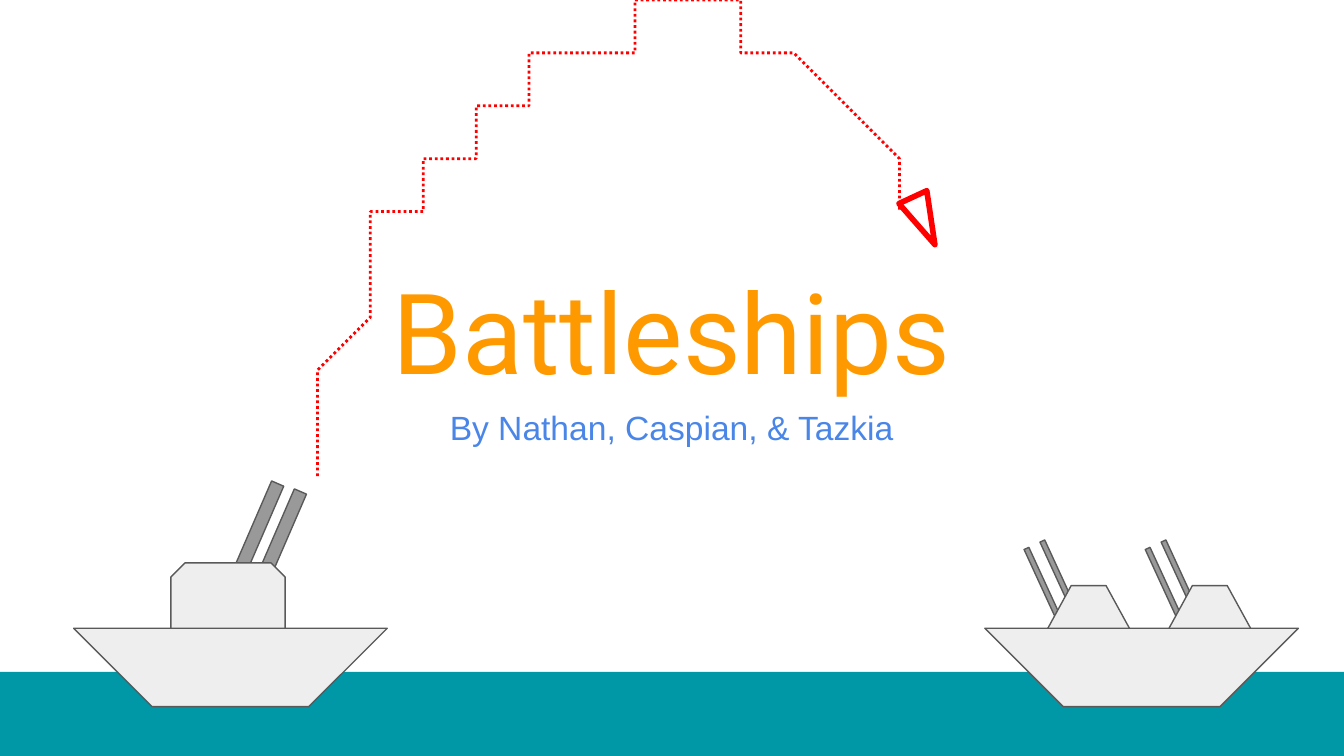
from dataclasses import dataclass

from pptx import Presentation
from pptx.dml.color import RGBColor
from pptx.enum.dml import MSO_LINE
from pptx.enum.shapes import MSO_SHAPE
from pptx.enum.text import MSO_ANCHOR, PP_ALIGN
from pptx.util import Cm, Pt

RECT = MSO_SHAPE.RECTANGLE
ROUNDED = MSO_SHAPE.ROUNDED_RECTANGLE
TRAPEZOID = MSO_SHAPE.TRAPEZOID
SNIPPED = MSO_SHAPE.SNIP_2_SAME_RECTANGLE
STRIPE = MSO_SHAPE.DIAGONAL_STRIPE
TRIANGLE = MSO_SHAPE.ISOSCELES_TRIANGLE
DOTTED = MSO_LINE.ROUND_DOT
TOP, BOTTOM = MSO_ANCHOR.TOP, MSO_ANCHOR.BOTTOM
CENTER = PP_ALIGN.CENTER


@dataclass(frozen=True)
class Theme:
    sea: str = "0097A7"
    plating: str = "EEEEEE"
    barrel: str = "999999"
    outline: str = "595959"
    fire: str = "FF0000"
    title: str = "FF9900"
    subtitle: str = "4A86E8"
    title_font: str = "Roboto"
    subtitle_font: str = "Arial"
    title_size: float = 60
    subtitle_size: float = 18
    outline_width: float = 0.75
    path_width: float = 1.5
    shell_width: float = 3


THEME = Theme()

# Flight path in cm: start point, then Bezier segments (control, control, end)
FLIGHT_START = (5.56, 8.61)
FLIGHT_CURVES = [
    ((5.99, 7.70), (7.29, 4.50), (8.13, 3.20)),
    ((8.97, 1.93), (9.80, 1.37), (10.64, 0.91)),
    ((11.51, 0.46), (12.42, 0.38), (13.18, 0.43)),
    ((13.94, 0.48), (14.58, 0.74), (15.21, 1.22)),
    ((15.85, 1.68), (16.66, 2.87), (16.99, 3.28)),
    ((17.30, 3.68), (17.12, 3.58), (17.17, 3.66)),
]
STEPS = 12


def paint(shape, fill=None, line=None, width=THEME.outline_width):
    shape.shadow.inherit = False
    if fill:
        shape.fill.solid()
        shape.fill.fore_color.rgb = RGBColor.from_string(fill)
    else:
        shape.fill.background()
    if line:
        shape.line.color.rgb = RGBColor.from_string(line)
        shape.line.width = Pt(width)
    else:
        shape.line.fill.background()


def add_part(shapes, preset, box, fill=THEME.plating, line=THEME.outline,
             width=THEME.outline_width, turn=0, adjust=()):
    part = shapes.add_shape(preset, *map(Cm, box))
    part.rotation = turn
    for index, value in enumerate(adjust):
        part.adjustments[index] = value
    paint(part, fill, line, width)


def add_barrel(shapes, box, turn):
    add_part(shapes, RECT, box, fill=THEME.barrel, turn=turn)


def add_enemy_turret(shapes, left, top=11.07):
    barrels = shapes.add_group_shape().shapes
    for dx, dy in ((-0.36, -0.27), (-0.66, -0.13)):
        add_barrel(barrels, (left + dx, top + dy, 1.37, 0.1), 65.3)
    add_part(shapes, TRAPEZOID, (left, top, 1.83, 1.07), adjust=[0.547])


def add_own_turret(shapes):
    for left, top in ((4.24, 10.11), (3.81, 9.96)):
        add_barrel(shapes, (left, top, 2.06, 0.25), 293.4)
    add_part(shapes, SNIPPED, (3.23, 10.64, 2.16, 1.6), adjust=[0.167, 0])


def add_hull(shapes, left):
    add_part(shapes, STRIPE, (left, 9.78, 4.19, 4.19), turn=225, adjust=[0.5])


def bezier_point(controls, t):
    weights = ((1 - t) ** 3, 3 * t * (1 - t) ** 2, 3 * t**2 * (1 - t), t**3)
    return tuple(sum(w * c for w, c in zip(weights, axis))
                 for axis in zip(*controls))


def add_flight_path(shapes):
    points, start = [], FLIGHT_START
    for curve in FLIGHT_CURVES:
        points += [bezier_point((start, *curve), step / STEPS)
                   for step in range(1, STEPS + 1)]
        start = curve[-1]
    builder = shapes.build_freeform(*FLIGHT_START, scale=Cm(1))
    builder.add_line_segments(points, close=False)
    flight = builder.convert_to_shape()
    paint(flight, line=THEME.fire, width=THEME.path_width)
    flight.line.dash_style = DOTTED


def add_heading(shapes, text, top, height, anchor, font, size, color):
    frame = shapes.add_textbox(
        Cm(0.86), Cm(top), Cm(23.67), Cm(height)).text_frame
    frame.word_wrap = True
    frame.vertical_anchor = anchor
    frame.margin_left = frame.margin_right = Cm(0.25)
    frame.margin_top = frame.margin_bottom = Cm(0.25)
    paragraph = frame.paragraphs[0]
    paragraph.text = text
    paragraph.alignment = CENTER
    paragraph.font.name = font
    paragraph.font.size = Pt(size)
    paragraph.font.color.rgb = RGBColor.from_string(color)


def main():
    deck = Presentation()
    deck.slide_width, deck.slide_height = Cm(25.4), Cm(14.29)
    shapes = deck.slides.add_slide(deck.slide_layouts[6]).shapes

    # Sea and shot
    add_part(shapes, ROUNDED, (-0.38, 12.7, 26.26, 2.44),
             fill=THEME.sea, line=None)
    add_flight_path(shapes)

    # Guns
    for left in (21.95, 19.66):
        add_enemy_turret(shapes, left)
    add_own_turret(shapes)

    # Headings
    add_heading(shapes, "Battleships", 2.06, 5.69, BOTTOM,
                THEME.title_font, THEME.title_size, THEME.title)
    add_heading(shapes, "By Nathan, Caspian, & Tazkia", 7.44, 2.21, TOP,
                THEME.subtitle_font, THEME.subtitle_size, THEME.subtitle)

    # Hulls and the falling shell
    for left in (2.26, 19.48):
        add_hull(shapes, left)
    add_part(shapes, TRIANGLE, (17.17, 3.68, 0.58, 0.99), fill=None,
             line=THEME.fire, width=THEME.shell_width, turn=155.1)

    deck.save("out.pptx")


if __name__ == "__main__":
    main()
